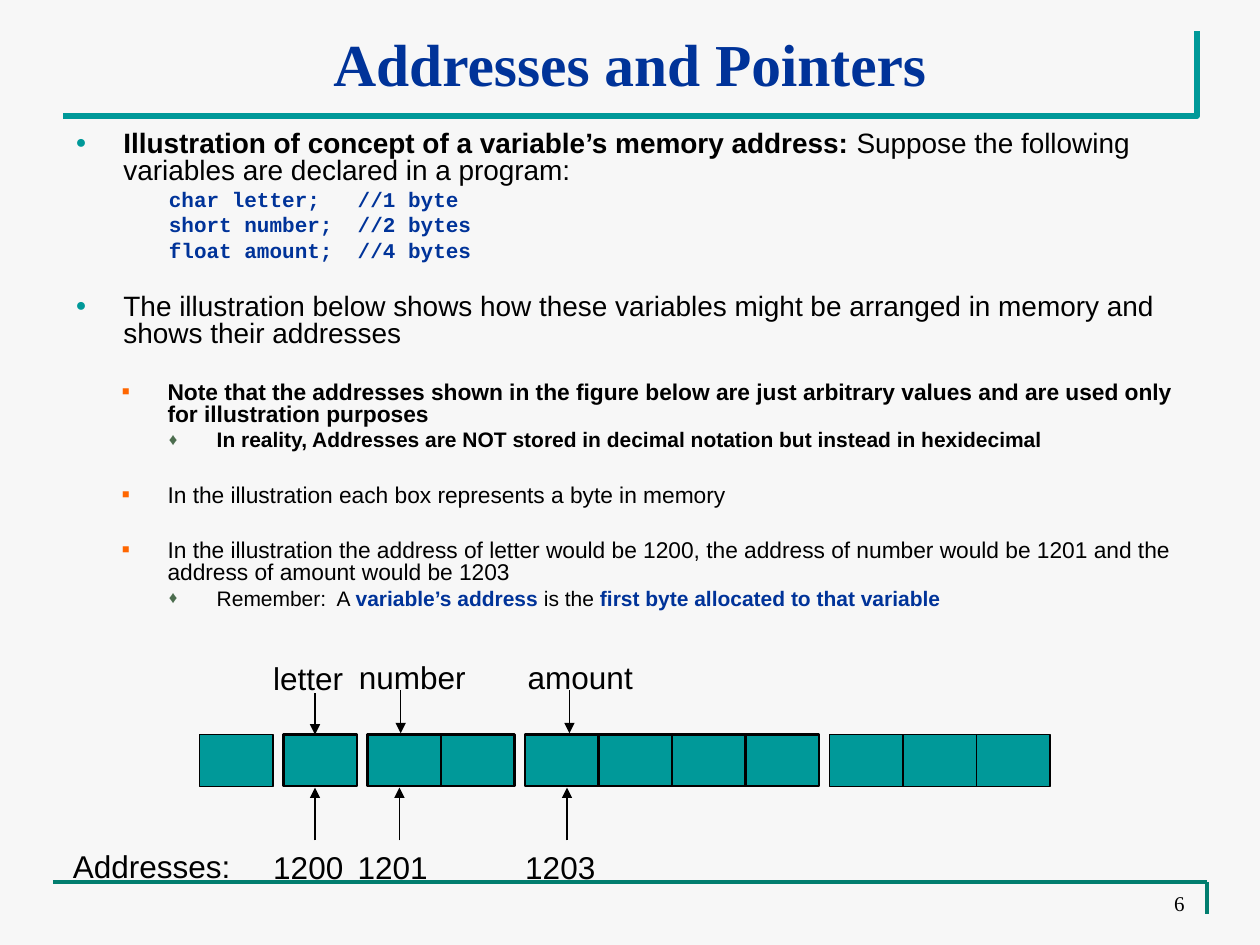
from lxml import etree
from pptx import Presentation
from pptx.dml.color import RGBColor
from pptx.enum.shapes import MSO_CONNECTOR, MSO_SHAPE
from pptx.enum.text import MSO_ANCHOR, MSO_AUTO_SIZE, PP_ALIGN
from pptx.oxml.ns import qn
from pptx.util import Inches, Pt

STRAIGHT, RECTANGLE = MSO_CONNECTOR.STRAIGHT, MSO_SHAPE.RECTANGLE
LEFT, CENTER, RIGHT = PP_ALIGN.LEFT, PP_ALIGN.CENTER, PP_ALIGN.RIGHT
NO_FIT = MSO_AUTO_SIZE.NONE
TOP, MIDDLE, BOTTOM = MSO_ANCHOR.TOP, MSO_ANCHOR.MIDDLE, MSO_ANCHOR.BOTTOM

PAPER = RGBColor(0xF7, 0xF7, 0xF7)
TEAL = RGBColor(0x00, 0x99, 0x99)
DARK_TEAL = RGBColor(0x02, 0x7E, 0x6F)
NAVY = RGBColor(0x00, 0x33, 0x99)
ORANGE = RGBColor(0xFF, 0x66, 0x00)
GREEN = RGBColor(0x4C, 0x6D, 0x4E)
BLACK = RGBColor(0, 0, 0)

UNIT = Inches(1) / 12  # memory grid: a cell is 7 units wide, a gap 1 unit


def add_line(x1, y1, x2, y2, color, width, arrow=False):
    line = slide.shapes.add_connector(
        STRAIGHT, Inches(x1), Inches(y1), Inches(x2), Inches(y2))
    line.line.color.rgb = color
    line.line.width = Pt(width)
    properties = line._element.spPr
    if arrow:
        etree.SubElement(properties.find(qn("a:ln")), qn("a:tailEnd"), type="triangle")
    etree.SubElement(properties, qn("a:effectLst"))


def add_label(text, left, top, width, height, size, font, align=LEFT):
    label = slide.shapes.add_textbox(
        Inches(left), Inches(top), Inches(width), Inches(height))
    label.text_frame.text = text
    label.text_frame.word_wrap = True
    label.text_frame.auto_size = NO_FIT
    paragraph = label.text_frame.paragraphs[0]
    paragraph.alignment = align
    run_font = paragraph.runs[0].font
    run_font.name, run_font.size, run_font.color.rgb = font, Pt(size), BLACK
    return label.text_frame


deck = Presentation()
deck.slide_width, deck.slide_height = Inches(10), Inches(7.5)
slide = deck.slides.add_slide(deck.slide_layouts[1])
slide.background.fill.solid()
slide.background.fill.fore_color.rgb = PAPER

# Frame lines around the title and the footer
builder = slide.shapes.build_freeform(Inches(9.5), Inches(0.25))
builder.add_line_segments(
    [(Inches(9.5), Inches(0.92)), (Inches(0.5), Inches(0.92))], close=False)
title_frame = builder.convert_to_shape()
title_frame.shadow.inherit = False
title_frame.fill.background()
title_frame.line.color.rgb = TEAL
title_frame.line.width = Pt(3.5)
add_line(0.42, 7, 9.58, 7, DARK_TEAL, 2.25)
add_line(9.58, 7, 9.58, 7.25, DARK_TEAL, 2.25)

# Title
title = slide.shapes.title
title.left, title.top, title.width, title.height = map(Inches, (0.5, 0.15, 9, 0.7))
title.text_frame.text = "Addresses and Pointers"
title.text_frame.vertical_anchor = MIDDLE
title.text_frame.auto_size = NO_FIT
heading = title.text_frame.paragraphs[0]
heading.alignment = CENTER
heading_font = heading.runs[0].font
heading_font.name, heading_font.size, heading_font.bold = "Times New Roman", Pt(34), True
heading_font.color.rgb = NAVY

# Body: level, margin, indent, size, font, bullet (sign, colour, percent)
STYLES = {
    "point": (0, 0.38, -0.38, 16, "Arial", ("●", TEAL, 65)),
    "code": (2, 1.12, -0.38, 12, "Courier New", None),
    "note": (1, 0.73, -0.36, 13, "Arial", ("■", ORANGE, 55)),
    "detail": (2, 1.12, -0.38, 12, "Arial", ("♦", GREEN, 80)),
}
# Style, space before, runs of (text, bold, colour)
LINES = [
    ("point", 4, [
        ("Illustration of concept of a variable’s memory address:", True, BLACK),
        (" Suppose the following variables are declared in a program:", False, BLACK)]),
    ("code", 3, [("char letter;   //1 byte", True, NAVY)]),
    ("code", 3, [("short number;  //2 bytes", True, NAVY)]),
    ("code", 3, [("float amount;  //4 bytes", True, NAVY)]),
    ("point", 19, [("The illustration below shows how these variables might be "
                    "arranged in memory and shows their addresses", False, BLACK)]),
    ("note", 19.2, [("Note that the addresses shown in the figure below are just arbitrary "
                     "values and are used only for illustration purposes", True, BLACK)]),
    ("detail", 3, [("In reality, Addresses are NOT stored in decimal notation "
                    "but instead in hexidecimal", True, BLACK)]),
    ("note", 19.2, [("In the illustration each box represents a byte in memory",
                     False, BLACK)]),
    ("note", 19.2, [("In the illustration the address of letter would be 1200, the address "
                     "of number would be 1201 and the address of amount would be 1203",
                     False, BLACK)]),
    ("detail", 3, [("Remember:  A ", False, BLACK), ("variable’s address", True, NAVY),
                   (" is the ", False, BLACK),
                   ("first byte allocated to that variable", True, NAVY)]),
]
body = slide.placeholders[1]
body.left, body.top, body.width, body.height = map(Inches, (0.5, 1, 9, 4.08))
explanation = body.text_frame
explanation.auto_size = NO_FIT
explanation.vertical_anchor = TOP
for number, (style, space_before, runs) in enumerate(LINES):
    level, margin, indent, size, font, bullet = STYLES[style]
    paragraph = explanation.add_paragraph() if number else explanation.paragraphs[0]
    paragraph.level = level
    paragraph.alignment = LEFT
    paragraph.line_spacing = 0.8
    paragraph.space_before, paragraph.space_after = Pt(space_before), Pt(0)
    properties = paragraph._p.get_or_add_pPr()
    properties.set("marL", str(Inches(margin)))
    properties.set("indent", str(Inches(indent)))
    if bullet:
        sign, bullet_color, percent = bullet
        color = etree.SubElement(properties, qn("a:buClr"))
        etree.SubElement(color, qn("a:srgbClr"), val=str(bullet_color))
        etree.SubElement(properties, qn("a:buSzPct"), val=str(percent * 1000))
        etree.SubElement(properties, qn("a:buChar"), char=sign)
    else:
        etree.SubElement(properties, qn("a:buNone"))
    for text, bold, text_color in runs:
        run = paragraph.add_run()
        run.text = text
        run.font.name, run.font.size, run.font.bold = font, Pt(size), bold
        run.font.color.rgb = text_color

# Memory cells: bytes in each block and outline width
column = 19
for byte_count, outline in [(1, 0.75), (1, 1.5), (2, 1.5), (4, 1.5), (3, 0.75)]:
    for _ in range(byte_count):
        cell = slide.shapes.add_shape(
            RECTANGLE, int(column * UNIT), Inches(5.83), int(7 * UNIT), Inches(0.41))
        cell.shadow.inherit = False
        cell.fill.solid()
        cell.fill.fore_color.rgb = TEAL
        cell.line.color.rgb = BLACK
        cell.line.width = Pt(outline)
        column += 7
    column += 1

# Variable names above the cells, addresses below: text, arrow x, start, end, top, width
MARKS = [
    ("letter", 2.5, 5.5, 5.83, 5.18, 0.75),
    ("number", 3.18, 5.48, 5.82, 5.17, 1.05),
    ("amount", 4.52, 5.48, 5.82, 5.17, 1.03),
    ("1200", 2.5, 6.67, 6.25, 6.68, 0.75),
    ("1201", 3.17, 6.67, 6.25, 6.68, 0.75),
    ("1203", 4.5, 6.67, 6.25, 6.68, 0.75),
]
for text, x, start, end, top, width in MARKS:
    add_line(x, start, x, end, BLACK, 0.75, arrow=True)
    mark = add_label(text, x - 0.43, top, width, 0.4, 18, "Arial")
    mark.margin_right = 0
add_label("Addresses:", 0.48, 6.67, 1.6, 0.4, 18, "Arial")

# Page number
page = add_label("6", 7.17, 7.08, 2.33, 0.24, 12, "Times New Roman", RIGHT)
page.vertical_anchor = BOTTOM

deck.save("out.pptx")
